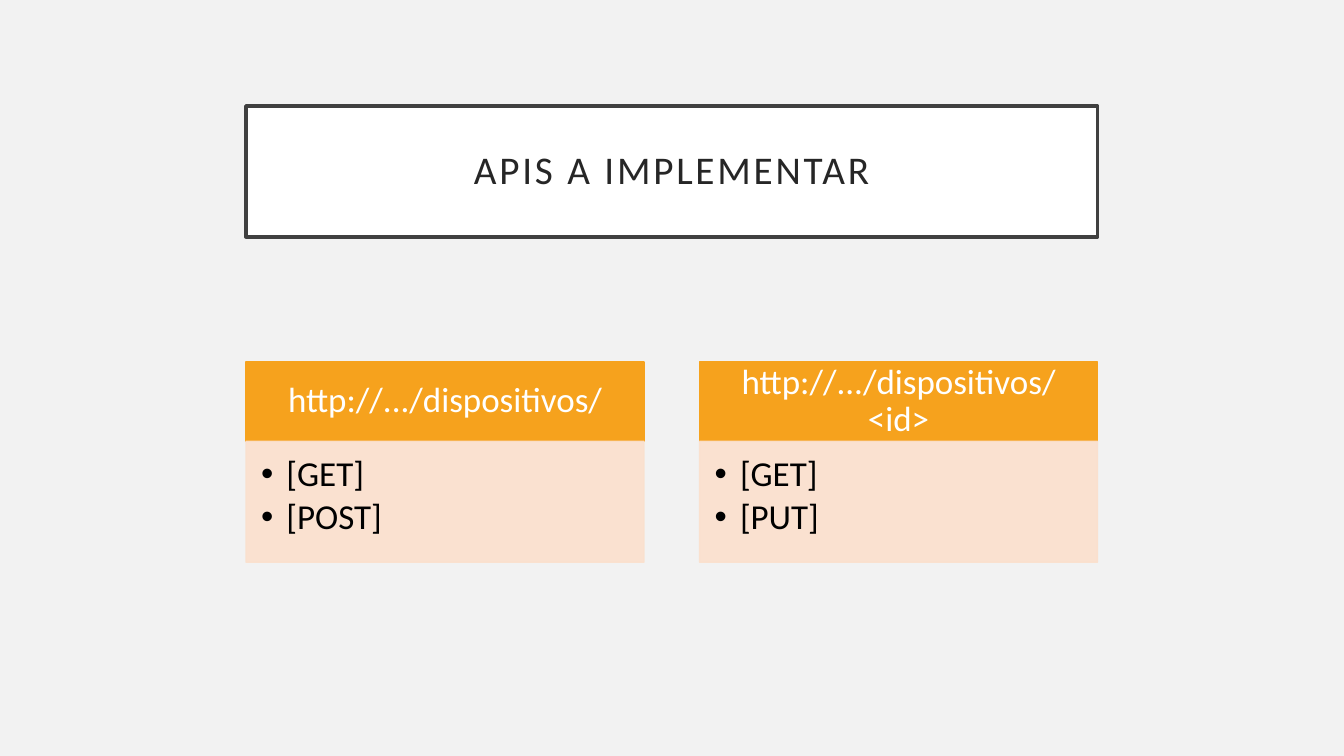
import pptx
import pptx.dml.color
import pptx.enum.shapes
import pptx.enum.text
import pptx.oxml.ns
import pptx.util
from lxml import etree

BACKGROUND = pptx.dml.color.RGBColor(0xF2, 0xF2, 0xF2)
WHITE = pptx.dml.color.RGBColor(0xFF, 0xFF, 0xFF)
BLACK = pptx.dml.color.RGBColor(0x00, 0x00, 0x00)
FRAME = pptx.dml.color.RGBColor(0x40, 0x40, 0x40)
TITLE_TEXT = pptx.dml.color.RGBColor(0x26, 0x26, 0x26)
ORANGE = pptx.dml.color.RGBColor(0xF6, 0xA2, 0x1D)
PEACH = pptx.dml.color.RGBColor(0xFB, 0xE0, 0xCD)

LEFT = 6.2
COLUMN_WIDTH = 10.03
COLUMN_STEP = 11.43
HEADER_TOP = 9.12
HEADER_HEIGHT = 2
BODY_HEIGHT = 3.05

ENDPOINTS = [
    ("http://.../dispositivos/", ["[GET]", "[POST]"]),
    ("http://.../dispositivos/<id>", ["[GET]", "[PUT]"]),
]


class SlideBuilder:
    font_name = "Calibri"
    body_size = 25
    title_size = 28

    def __init__(self, presentation):
        self.slide = presentation.slides.add_slide(presentation.slide_layouts[5])
        fill = self.slide.background.fill
        fill.solid()
        fill.fore_color.rgb = BACKGROUND

    def paint(self, shape, fill, line, line_width, opacity=100):
        shape.fill.solid()
        shape.fill.fore_color.rgb = fill
        shape.line.color.rgb = line
        shape.line.width = pptx.util.Pt(line_width)
        if opacity < 100:
            for color in shape._element.spPr.iter(pptx.oxml.ns.qn("a:srgbClr")):
                etree.SubElement(color, pptx.oxml.ns.qn("a:alpha"), val=str(opacity * 1000))

    def set_text(self, shape, lines, size, color, margins, centered=True, bullets=False):
        """Fill the shape with one paragraph per line; margins are left, top, right, bottom in cm."""
        frame = shape.text_frame
        frame.word_wrap = True
        frame.auto_size = pptx.enum.text.MSO_AUTO_SIZE.NONE
        anchors = pptx.enum.text.MSO_ANCHOR
        frame.vertical_anchor = anchors.MIDDLE if centered else anchors.TOP
        (frame.margin_left, frame.margin_top,
         frame.margin_right, frame.margin_bottom) = map(pptx.util.Cm, margins)
        frame.text = "\n".join(lines)
        alignments = pptx.enum.text.PP_ALIGN
        for paragraph in frame.paragraphs:
            paragraph.alignment = alignments.CENTER if centered else alignments.LEFT
            paragraph.line_spacing = 0.9
            if bullets:
                self.add_bullet(paragraph)
            paragraph.font.name = self.font_name
            paragraph.font.size = pptx.util.Pt(size)
            paragraph.font.color.rgb = color

    def add_bullet(self, paragraph):
        paragraph.space_after = pptx.util.Pt(3.75)
        properties = paragraph._p.get_or_add_pPr()
        indent = pptx.util.Cm(0.64)
        properties.set("marL", str(int(indent)))
        properties.set("indent", str(-int(indent)))
        etree.SubElement(properties, pptx.oxml.ns.qn("a:buFont"), typeface="Arial")
        etree.SubElement(properties, pptx.oxml.ns.qn("a:buChar"), char="•")

    def title(self, text):
        title = self.slide.shapes.title
        title.left, title.top = pptx.util.Cm(LEFT), pptx.util.Cm(2.67)
        title.width, title.height = pptx.util.Cm(COLUMN_STEP + COLUMN_WIDTH), pptx.util.Cm(3.3)
        self.paint(title, WHITE, FRAME, 2.5)
        self.set_text(title, [text], self.title_size, TITLE_TEXT, [0.51] * 4)
        for run in title.text_frame.paragraphs[0].runs:
            run._r.get_or_add_rPr().set("spc", "200")

    def box(self, left, top, height, color, opacity=100):
        shape = self.slide.shapes.add_shape(
            pptx.enum.shapes.MSO_SHAPE.RECTANGLE, pptx.util.Cm(left), pptx.util.Cm(top),
            pptx.util.Cm(COLUMN_WIDTH), pptx.util.Cm(height))
        shape.shadow.inherit = False
        self.paint(shape, color, color, 1, opacity)
        return shape

    def endpoint(self, left, address, methods):
        header = self.box(left, HEADER_TOP, HEADER_HEIGHT, ORANGE)
        self.set_text(header, [address], self.body_size, WHITE, [0.48, 0.28, 0.48, 0.28])
        body = self.box(left, HEADER_TOP + HEADER_HEIGHT, BODY_HEIGHT, PEACH, opacity=90)
        self.set_text(body, methods, self.body_size, BLACK, [0.38, 0.38, 0.48, 0.56],
                      centered=False, bullets=True)


def main():
    presentation = pptx.Presentation()
    presentation.slide_width = pptx.util.Cm(33.87)
    presentation.slide_height = pptx.util.Cm(19.05)
    builder = SlideBuilder(presentation)
    builder.title("APIS A IMPLEMENTAR")
    for column, (address, methods) in enumerate(ENDPOINTS):
        builder.endpoint(LEFT + column * COLUMN_STEP, address, methods)
    presentation.save("out.pptx")


if __name__ == "__main__":
    main()
